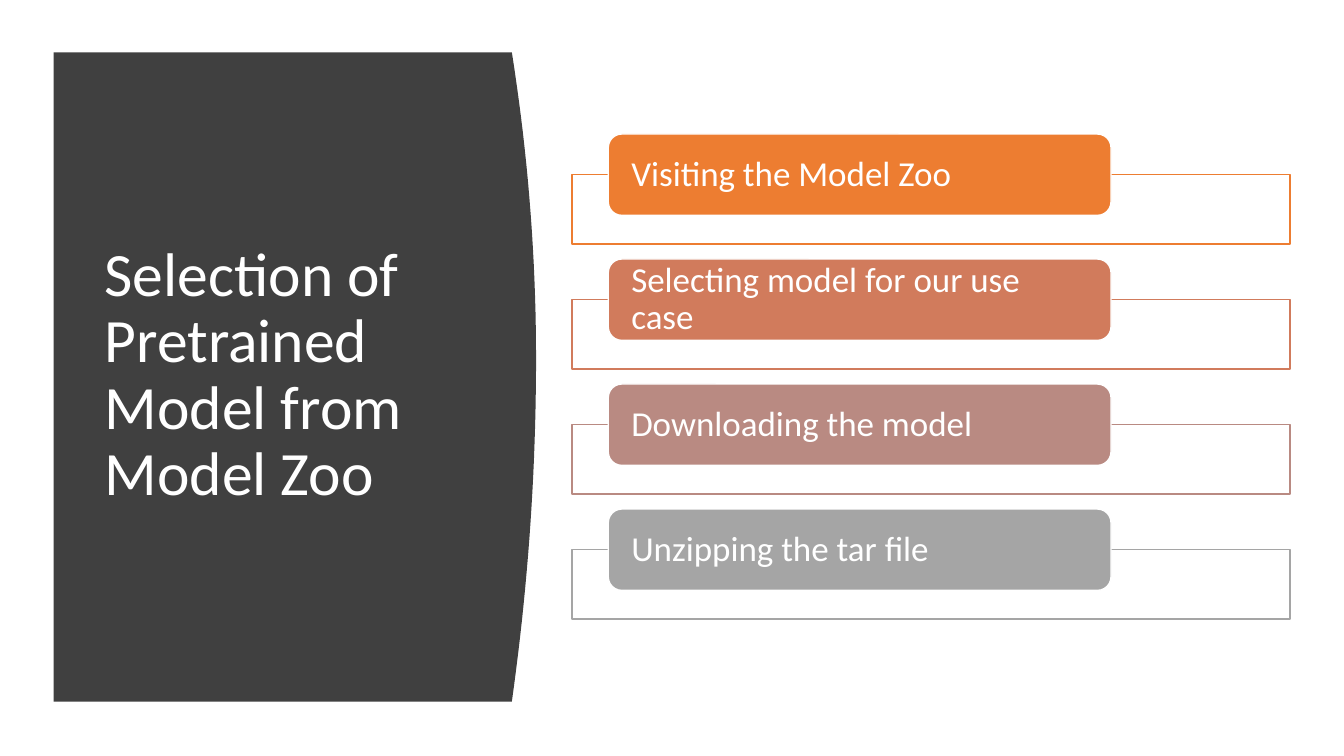
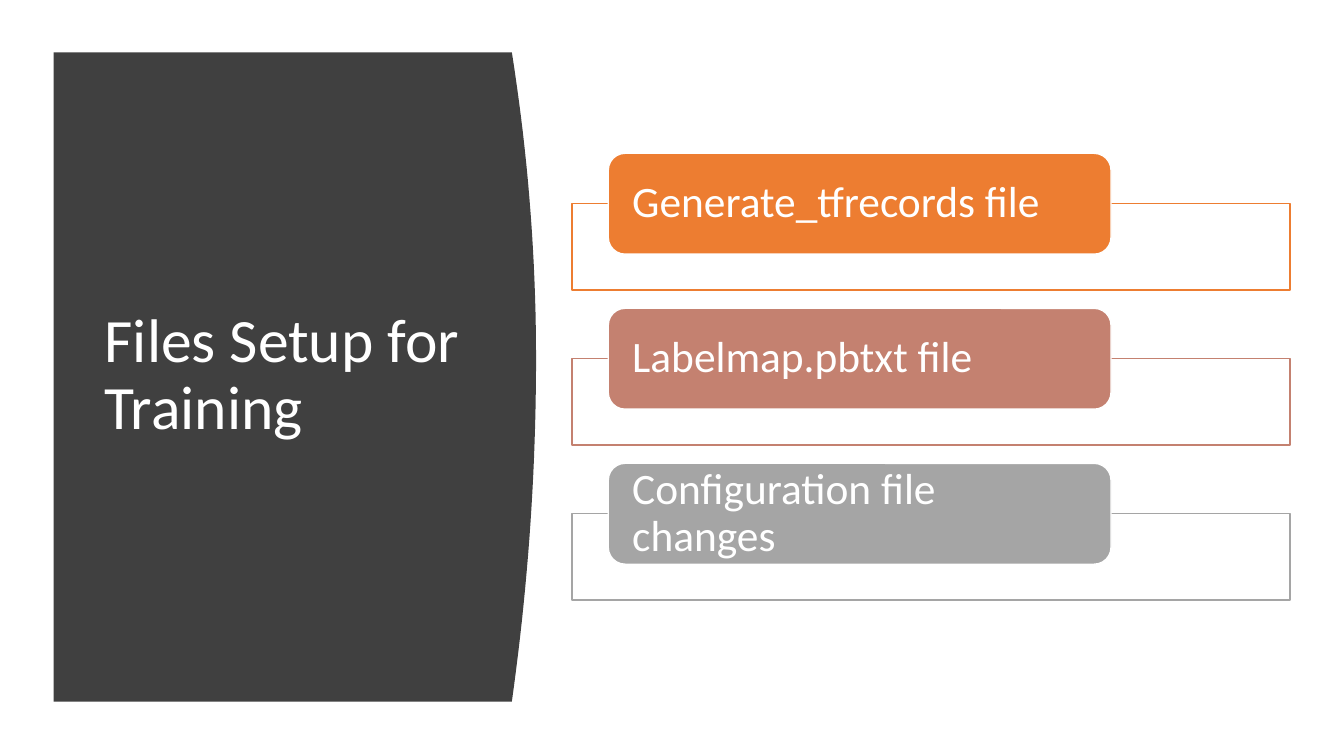
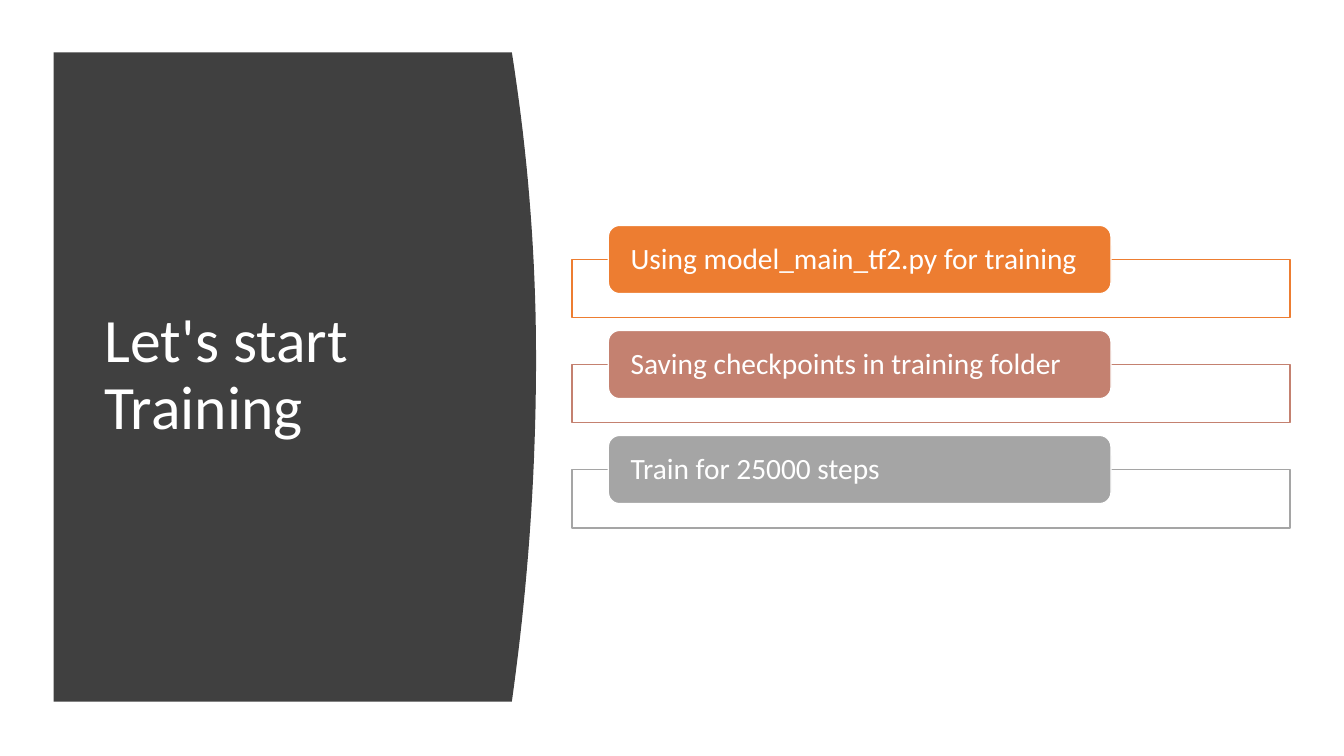
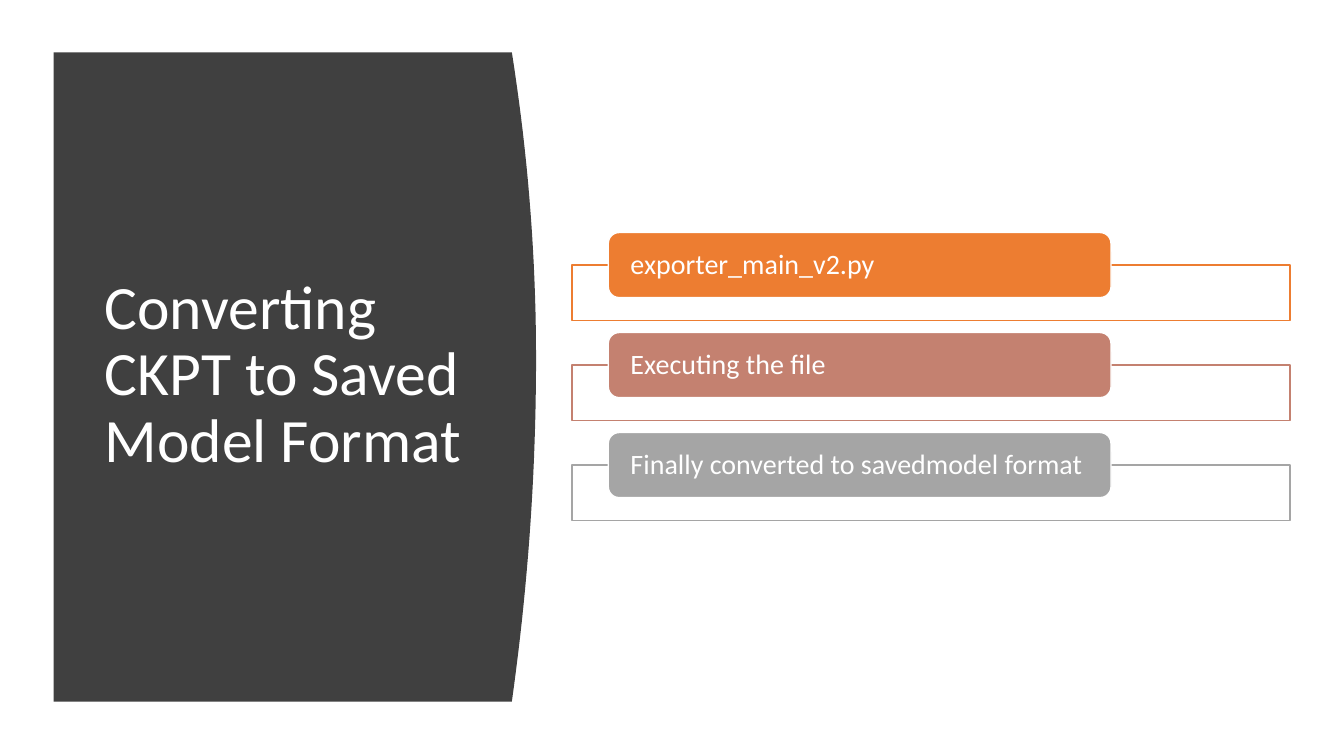
from dataclasses import dataclass

from lxml.etree import SubElement
from pptx import Presentation
from pptx.dml.color import RGBColor as RGB
from pptx.enum.shapes import MSO_SHAPE as Kind
from pptx.enum.text import MSO_ANCHOR as Anchor, PP_ALIGN as Align
from pptx.oxml.ns import qn
from pptx.util import Cm, Pt


@dataclass(frozen=True)
class Theme:
    font: str = "Calibri"
    dark: str = "404040"
    white: str = "FFFFFF"
    title: int = 44
    line: int = 1
    # Tab colours by number of steps
    ramps: tuple = (
        ("ED7D31", "C48170", "A5A5A5"),
        ("ED7D31", "D17B5C", "B98A82", "A5A5A5"),
    )

    def ramp(self, count):
        return next(ramp for ramp in self.ramps if len(ramp) == count)


def write(frame, text, *, font, size, color, pad=(0.25, 0.13)):
    """Fill a text frame with one left-aligned, vertically centred text."""
    frame.word_wrap = True
    frame.vertical_anchor = Anchor.MIDDLE
    frame.margin_left = frame.margin_right = Cm(pad[0])
    frame.margin_top = frame.margin_bottom = Cm(pad[1])
    para = frame.paragraphs[0]
    para.alignment = Align.LEFT
    para.line_spacing = 0.9
    run = para.add_run()
    run.text = text
    run.font.name = font
    run.font.size = Pt(size)
    run.font.color.rgb = RGB.from_string(color)


class Deck:
    def __init__(self, theme):
        self.theme = theme
        self.file = Presentation()
        self.file.slide_width, self.file.slide_height = Cm(33.87), Cm(19.05)
        self.slide = None

    def page(self):
        self.slide = self.file.slides.add_slide(self.file.slide_layouts[6])

    def paint(self, shape, fill, line=None, alpha=None):
        shape.shadow.inherit = False
        shape.fill.solid()
        shape.fill.fore_color.rgb = RGB.from_string(fill)
        if alpha:
            tone = shape.fill._xPr.find(qn("a:solidFill"))[0]
            SubElement(tone, qn("a:alpha")).set("val", str(alpha * 1000))
        if line:
            shape.line.color.rgb = RGB.from_string(line)
            shape.line.width = Pt(self.theme.line)
        else:
            shape.line.fill.background()

    def box(self, kind, x, y, wide, high, **look):
        shape = self.slide.shapes.add_shape(kind, Cm(x), Cm(y), Cm(wide), Cm(high))
        self.paint(shape, **look)
        return shape

    def panel(self):
        """Dark panel whose right edge is two half parabolas."""
        left, top, low, peak = 1.35, 1.32, 17.68, 9.02
        right, bulge, count = 13.51, 0.61, 40
        edge = []
        for i in range(count + 1):
            y = top + (low - top) * i / count
            reach = peak - top if y < peak else low - peak
            x = right - bulge * ((y - peak) / reach) ** 2
            edge.append((Cm(x), Cm(y)))
        path = self.slide.shapes.build_freeform(Cm(left), Cm(top))
        path.add_line_segments(edge + [(Cm(left), Cm(low))], close=True)
        self.paint(path.convert_to_shape(), self.theme.dark)

    def title(self, text):
        area = self.slide.shapes.add_textbox(Cm(2.39), Cm(2.82), Cm(9.5), Cm(13.31))
        write(area.text_frame, text, font=self.theme.font,
              size=self.theme.title, color=self.theme.white)

    def steps(self, names, size):
        """Tabs over open boxes, scaled by type size and centred on the page."""
        look = self.theme
        scale = size / 100
        tab, body, pitch = 8.2 * scale, 7 * scale, 12.6 * scale
        total = pitch * (len(names) - 1) + tab / 2 + body
        top = 9.49 - total / 2
        for i, (name, color) in enumerate(zip(names, look.ramp(len(names)))):
            y = top + i * pitch
            self.box(Kind.RECTANGLE, 14.42, y + tab / 2, 18.09, body,
                     fill=look.white, line=color, alpha=90)
            label = self.box(Kind.ROUNDED_RECTANGLE, 15.33, y, 12.67, tab,
                             fill=color, line=look.white)
            write(label.text_frame, name, font=look.font, size=size,
                  color=look.white, pad=(0.48, 0))


# Title, type size of the steps, steps
PAGES = (
    ("Selection of Pretrained Model from Model Zoo", 25,
     ("Visiting the Model Zoo", "Selecting model for our use case",
      "Downloading the model", "Unzipping the tar file")),
    ("Files Setup for Training", 31,
     ("Generate_tfrecords file", "Labelmap.pbtxt file",
      "Configuration file changes")),
    ("Let's start Training", 21,
     ("Using model_main_tf2.py for training",
      "Saving checkpoints in training folder", "Train for 25000 steps")),
    ("Converting CKPT to Saved Model Format", 20,
     ("exporter_main_v2.py", "Executing the file",
      "Finally converted to savedmodel format")),
)


def main():
    deck = Deck(Theme())
    for title, size, names in PAGES:
        deck.page()
        deck.panel()
        deck.title(title)
        deck.steps(names, size)
    deck.file.save("out.pptx")


if __name__ == "__main__":
    main()
